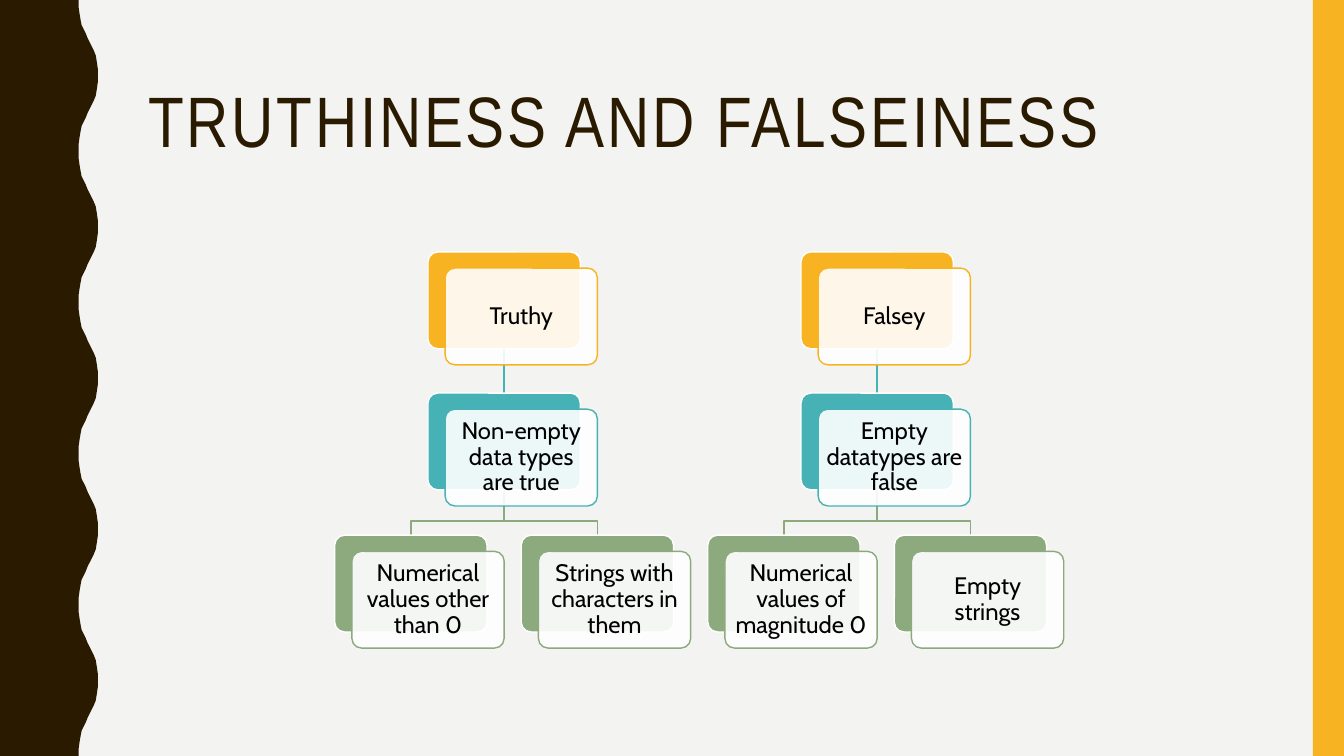
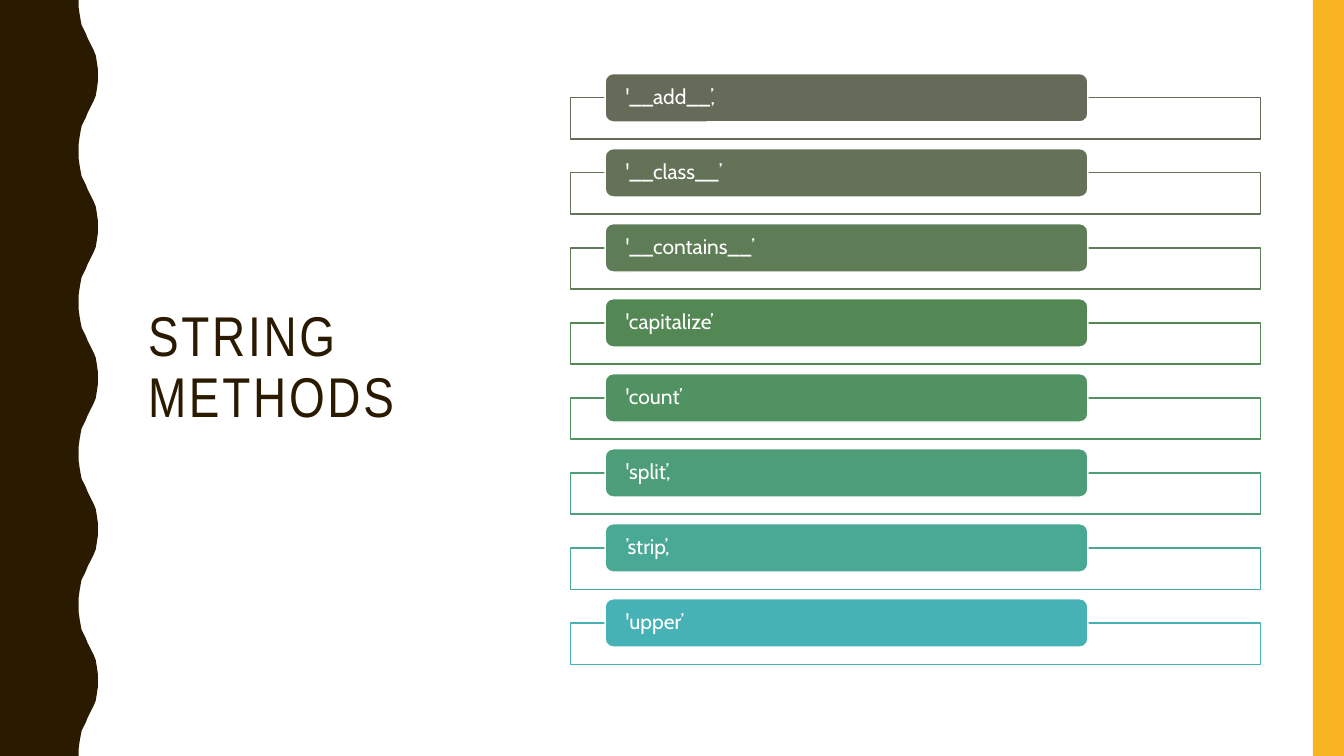
from lxml import etree
from pptx import Presentation
from pptx.dml.color import RGBColor
from pptx.enum.shapes import MSO_CONNECTOR, MSO_SHAPE
from pptx.enum.text import MSO_ANCHOR, PP_ALIGN
from pptx.oxml.ns import qn
from pptx.util import Inches, Pt

WIDTH, HEIGHT = 13.33, 7.5
BROWN, GOLD, TEAL, GREEN = "2A1A00", "F8B323", "46B2B5", "8CAA7E"
WHITE, BLACK, PALE = "FFFFFF", "000000", "F3F3F2"
TITLE_FONT, BODY_FONT = "Arial Narrow", "Cabin"

# Half a wave of the left band's edge, from trough to crest
WAVE_PERIOD = 1.5
HALF_WAVE = [(0.78, 0), (0.78, 0.07), (0.79, 0.14), (0.8, 0.2), (0.81, 0.25),
             (0.83, 0.29), (0.85, 0.33), (0.87, 0.38), (0.89, 0.42), (0.91, 0.46),
             (0.93, 0.5), (0.95, 0.55), (0.96, 0.61), (0.97, 0.68), (0.97, 0.75)]

CARD_WIDTH, CARD_HEIGHT = 1.51, 0.96
CARD_SHIFT = (0.17, 0.16)
LEAF_PITCH = 1.85
TREES = [
    ("Truthy", "Non-empty data types are true",
     ["Numerical values other than 0", "Strings with characters in them"]),
    ("Falsey", "Empty datatypes are false",
     ["Numerical values of magnitude 0", "Empty strings"]),
]
METHODS = [
    ("'__add__’,", "656A59"), ("'__class__’", "647358"),
    ("'__contains__’", "5E7D56"), ("'capitalize’", "538855"),
    ("'count’", "519263"), ("'split’,", "4D9E78"),
    ("’strip’,", "4AA994"), ("'upper’", TEAL),
]


def color(hex_string):
    return RGBColor.from_string(hex_string)


def paint(shape, fill=None, line=None, alpha=None):
    """Set fill, outline and opacity (percent); None means no fill or line."""
    shape.shadow.inherit = False
    if fill:
        shape.fill.solid()
        shape.fill.fore_color.rgb = color(fill)
    else:
        shape.fill.background()
    if alpha:
        fill_color = shape._element.spPr.find(qn("a:solidFill"))[0]
        etree.SubElement(fill_color, qn("a:alpha"), val=str(alpha * 1000))
    if line:
        shape.line.color.rgb = color(line)
        shape.line.width = Pt(1)
    else:
        shape.line.fill.background()


def add_box(slide, kind, box, fill, line=None, alpha=None, corner=None):
    shape = slide.shapes.add_shape(kind, *map(Inches, box))
    if corner:
        shape.adjustments[0] = corner
    paint(shape, fill, line, alpha)
    return shape


def add_path(slide, points, close, fill=None, line=None):
    start, *rest = [(Inches(x), Inches(y)) for x, y in points]
    builder = slide.shapes.build_freeform(*start)
    builder.add_line_segments(rest, close=close)
    paint(builder.convert_to_shape(), fill, line)


def write(shape, text, size, font, ink, align, insets):
    """Fill a shape with one vertically centred paragraph and return its run."""
    frame = shape.text_frame
    frame.word_wrap = True
    frame.vertical_anchor = MSO_ANCHOR.MIDDLE
    frame.margin_left = frame.margin_right = Inches(insets[0])
    frame.margin_top = frame.margin_bottom = Inches(insets[1])
    paragraph = frame.paragraphs[0]
    paragraph.alignment = align
    paragraph.line_spacing = 0.9
    run = paragraph.add_run()
    run.text = text
    run.font.size = Pt(size)
    run.font.name = font
    run.font.color.rgb = color(ink)
    return run


def add_bands(slide):
    wave = HALF_WAVE + [(x, WAVE_PERIOD - y) for x, y in HALF_WAVE[-2::-1]]
    edge = [(x, y + WAVE_PERIOD * turn)
            for turn in range(round(HEIGHT / WAVE_PERIOD)) for x, y in wave]
    add_path(slide, [(0, 0), *edge, (0, HEIGHT)], True, BROWN)
    add_box(slide, MSO_SHAPE.RECTANGLE, (13.02, 0, 0.31, HEIGHT), GOLD)


def add_themed_slide(presentation, background, title, title_box, title_size):
    slide = presentation.slides.add_slide(presentation.slide_layouts[6])
    slide.background.fill.solid()
    slide.background.fill.fore_color.rgb = color(background)
    add_bands(slide)
    title_shape = slide.shapes.add_textbox(*map(Inches, title_box))
    run = write(title_shape, title, title_size, TITLE_FONT, BROWN,
                PP_ALIGN.LEFT, (0.1, 0.05))
    run._r.get_or_add_rPr().set("spc", "200")
    return slide


def add_card(slide, left, top, text, accent):
    """Draw a coloured card under a shifted white one; return the coloured card."""
    back = add_box(slide, MSO_SHAPE.ROUNDED_RECTANGLE,
                   (left, top, CARD_WIDTH, CARD_HEIGHT), accent, WHITE, corner=0.1)
    front = add_box(slide, MSO_SHAPE.ROUNDED_RECTANGLE,
                    (left + CARD_SHIFT[0], top + CARD_SHIFT[1], CARD_WIDTH, CARD_HEIGHT),
                    WHITE, accent, alpha=90, corner=0.1)
    write(front, text, 17, BODY_FONT, BLACK, PP_ALIGN.CENTER, (0.05, 0.05))
    return back


def add_tree(slide, left, top, root, rule, leaves):
    rule_top, leaf_top = top + 1.4, top + 2.81
    leaf_lefts = [left + LEAF_PITCH * index for index in range(len(leaves))]
    trunk_left = sum(leaf_lefts) / len(leaves)
    middle = CARD_WIDTH / 2
    trunk = trunk_left + middle
    bend = leaf_top - 0.14

    for leaf_left in leaf_lefts:
        branch = leaf_left + middle
        add_path(slide, [(trunk, rule_top + CARD_HEIGHT), (trunk, bend),
                         (branch, bend), (branch, leaf_top)], False, line=GREEN)
    stem = slide.shapes.add_connector(
        MSO_CONNECTOR.STRAIGHT, Inches(trunk), Inches(top + CARD_HEIGHT),
        Inches(trunk), Inches(rule_top))
    stem.line.color.rgb = color(TEAL)
    stem.line.width = Pt(1)
    etree.SubElement(stem._element.spPr, qn("a:effectLst"))

    stem.begin_connect(add_card(slide, trunk_left, top, root, GOLD), 2)
    stem.end_connect(add_card(slide, trunk_left, rule_top, rule, TEAL), 0)
    for leaf_left, text in zip(leaf_lefts, leaves):
        add_card(slide, leaf_left, leaf_top, text, GREEN)


def add_method_list(slide, left, top, width, height):
    label_height, frame_height, frame_drop = 0.48, 0.41, 0.24
    pitch = (height - frame_drop - frame_height) / (len(METHODS) - 1)
    for index, (name, accent) in enumerate(METHODS):
        row_top = top + pitch * index
        add_box(slide, MSO_SHAPE.RECTANGLE,
                (left, row_top + frame_drop, width, frame_height),
                WHITE, accent, alpha=90)
        label = add_box(slide, MSO_SHAPE.ROUNDED_RECTANGLE,
                        (left + width * 0.05, row_top, width * 0.7, label_height),
                        accent, WHITE)
        write(label, name, 15, BODY_FONT, WHITE, PP_ALIGN.LEFT, (0.18, 0))


def build_truthiness_slide(presentation):
    slide = add_themed_slide(presentation, PALE, "TRUTHINESS AND FALSEINESS",
                             (1.37, 0.42, 11.13, 1.63), 51)
    for index, tree in enumerate(TREES):
        add_tree(slide, 3.32 + 2 * LEAF_PITCH * index, 2.5, *tree)


def build_methods_slide(presentation):
    slide = add_themed_slide(presentation, WHITE, "STRING METHODS",
                             (1.37, 0.7, 3.7, 5.92), 40)
    add_method_list(slide, 5.66, 0.73, 6.84, 5.86)


def main():
    presentation = Presentation()
    presentation.slide_width = Inches(WIDTH)
    presentation.slide_height = Inches(HEIGHT)
    build_truthiness_slide(presentation)
    build_methods_slide(presentation)
    presentation.save("out.pptx")


if __name__ == "__main__":
    main()
